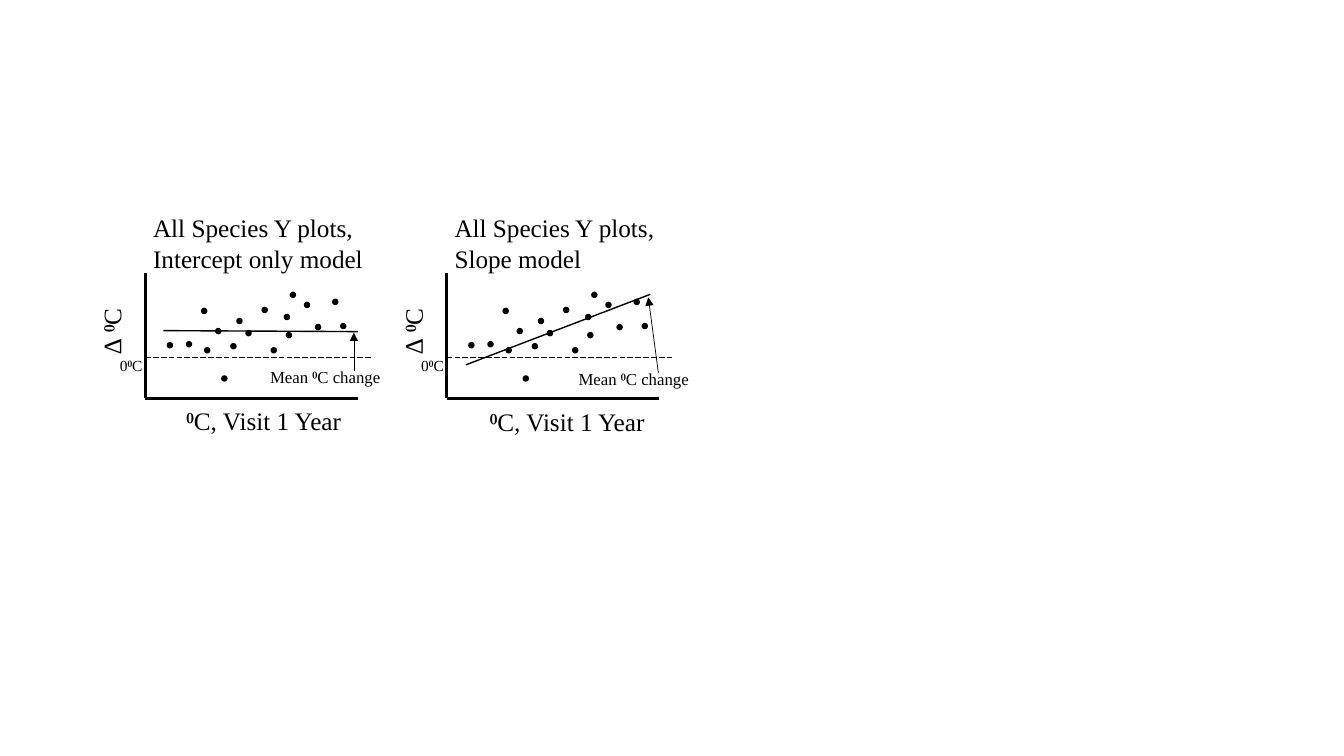
from dataclasses import dataclass

from lxml.etree import SubElement
from pptx import Presentation
from pptx.dml.color import RGBColor
from pptx.enum.dml import MSO_LINE
from pptx.enum.shapes import MSO_CONNECTOR, MSO_SHAPE
from pptx.oxml.ns import qn
from pptx.util import Pt

PX = 9144  # EMU per px, 100 px to the inch


@dataclass(frozen=True)
class Theme:
    ink: RGBColor = RGBColor(0, 0, 0)
    font: str = "Times New Roman"
    title_size: int = 18
    note_size: int = 12
    zero_size: int = 11
    axis_width: float = 2.25
    fit_width: float = 1
    thin_width: float = 0.5


@dataclass(frozen=True)
class Model:
    """What differs between panels; places are relative to the axes' top left."""
    name: str
    title_width: int
    fit: tuple
    arrow: tuple
    note_at: tuple
    axis_label_at: tuple


THEME = Theme()
PANEL_LEFT, PANEL_TOP, PANEL_STEP = 144, 271, 299
PANEL_WIDTH, PANEL_HEIGHT = 211, 124
ZERO_Y, ZERO_LENGTH = 84, 225
DOT_SIZE = 5
DOTS = [
    (22, 69), (41, 68), (59, 74), (70, 55), (85, 70), (100, 57),
    (116, 34), (125, 74), (140, 59), (158, 29), (169, 51), (56, 35),
    (76, 102), (194, 50), (144, 19), (186, 26), (138, 41), (91, 45),
]
MODELS = [
    Model("Intercept only model", 233, fit=(18, 57, 211, 58),
          arrow=(207, 97, 207, 59), note_at=(114, 88), axis_label_at=(31, 126)),
    Model("Slope model", 227, fit=(19, 91, 202, 21),
          arrow=(210, 99, 200, 24), note_at=(121, 90), axis_label_at=(33, 127)),
]


def add_text(slide, lines, left, top, width, height, size=THEME.title_size, rotation=0):
    box = slide.shapes.add_textbox(left * PX, top * PX, width * PX, height * PX)
    box.rotation = rotation
    frame = box.text_frame
    frame.word_wrap = False
    frame.text = "\n".join(lines)
    for paragraph in frame.paragraphs:
        font = paragraph.font
        font.name, font.size = THEME.font, Pt(size)
        font.color.rgb = THEME.ink


def add_line(slide, left, top, points, width, dash=None, arrow=False):
    """Draw a line between two points given relative to left and top."""
    x1, y1, x2, y2 = points
    line = slide.shapes.add_connector(
        MSO_CONNECTOR.STRAIGHT, (left + x1) * PX, (top + y1) * PX,
        (left + x2) * PX, (top + y2) * PX)
    line.line.color.rgb = THEME.ink
    line.line.width = Pt(width)
    if dash is not None:
        line.line.dash_style = dash
    if arrow:
        SubElement(line.line._get_or_add_ln(), qn("a:tailEnd"), type="triangle")
    SubElement(line._element.spPr, qn("a:effectLst"))


def add_dot(slide, left, top):
    dot = slide.shapes.add_shape(
        MSO_SHAPE.OVAL, left * PX, top * PX, DOT_SIZE * PX, DOT_SIZE * PX)
    dot.shadow.inherit = False
    dot.fill.solid()
    dot.fill.fore_color.rgb = THEME.ink
    dot.line.color.rgb = THEME.ink
    dot.line.width = Pt(1)


def add_axes(slide, left, top, width, height):
    add_line(slide, left, top, (0, 0, 0, height), THEME.axis_width)
    add_line(slide, left, top, (width, height, 0, height), THEME.axis_width)
    add_line(slide, left, top, (0, ZERO_Y, ZERO_LENGTH, ZERO_Y),
             THEME.thin_width, dash=MSO_LINE.LONG_DASH)
    add_text(slide, ["∆ ⁰C"], left - 51, top + 22, 66, 71, rotation=270)
    add_text(slide, ["0⁰C"], left - 35, top + 77, 47, 29, size=THEME.zero_size)


def add_panel(slide, model, left, top, width, height):
    add_axes(slide, left, top, width, height)
    add_text(slide, ["All Species Y plots,", model.name],
             left - 2, top - 65, model.title_width, 71)
    label_x, label_y = model.axis_label_at
    add_text(slide, ["⁰C, Visit 1 Year"], left + label_x, top + label_y, 175, 40)
    for x, y in DOTS:
        add_dot(slide, left + x, top + y)
    add_line(slide, left, top, model.fit, THEME.fit_width)
    note_x, note_y = model.note_at
    add_text(slide, ["Mean ⁰C change"], left + note_x, top + note_y, 136, 30,
             size=THEME.note_size)
    add_line(slide, left, top, model.arrow, THEME.thin_width, arrow=True)


def main():
    presentation = Presentation()
    presentation.slide_width, presentation.slide_height = 1333 * PX, 750 * PX
    slide = presentation.slides.add_slide(presentation.slide_layouts[6])
    for index, model in enumerate(MODELS):
        add_panel(slide, model, PANEL_LEFT + index * PANEL_STEP, PANEL_TOP,
                  PANEL_WIDTH, PANEL_HEIGHT)
    presentation.save("out.pptx")


if __name__ == "__main__":
    main()
